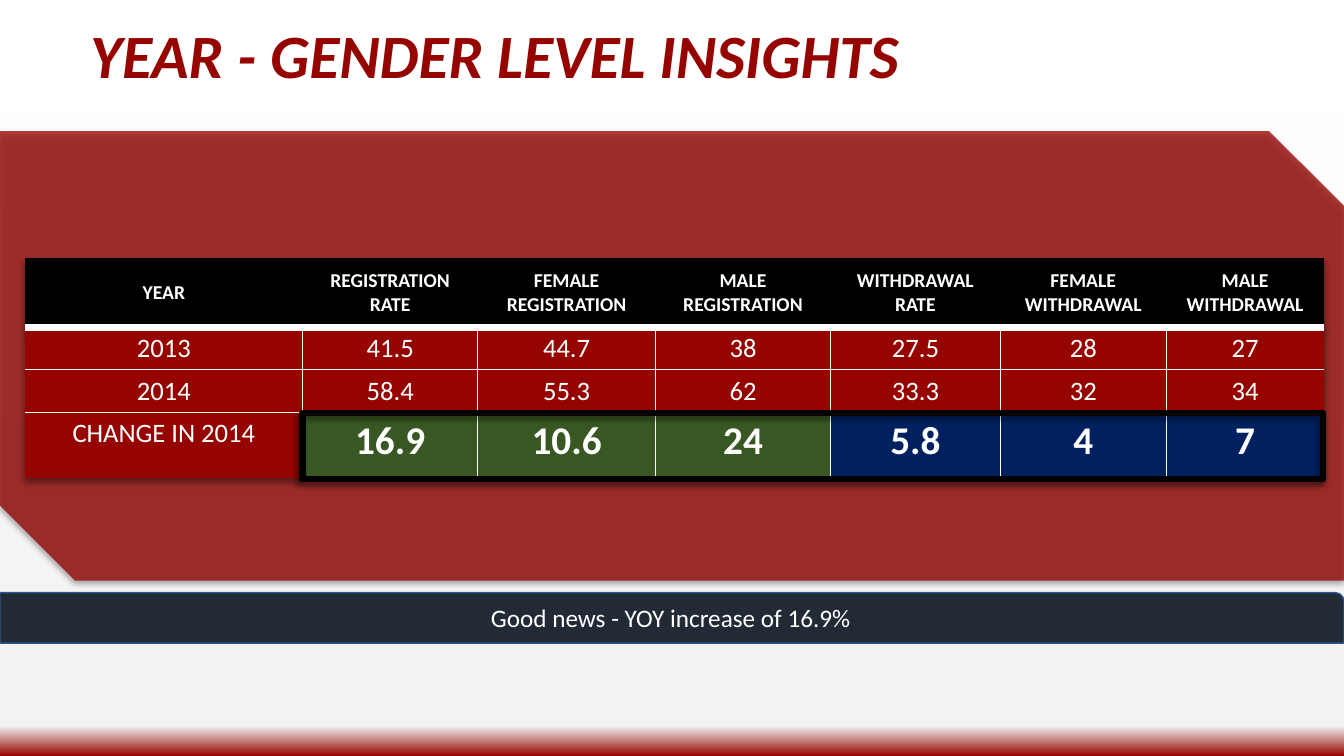
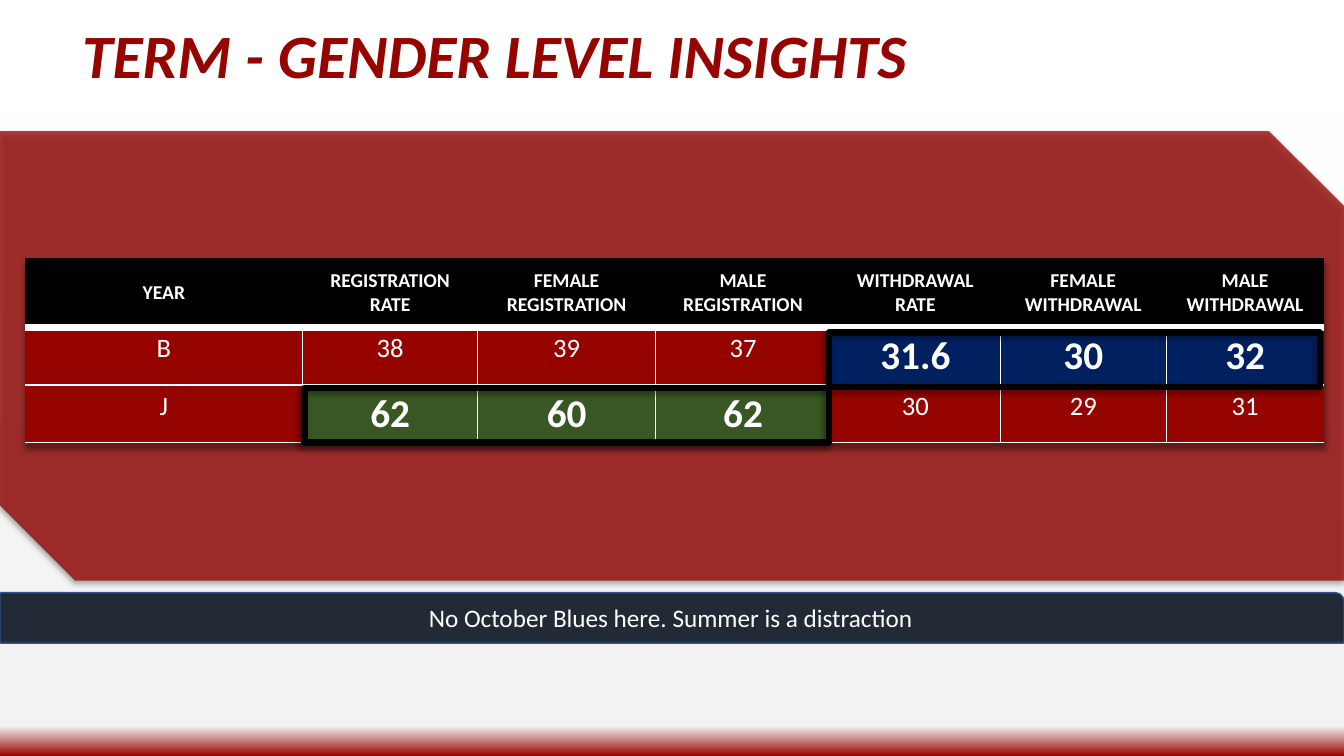
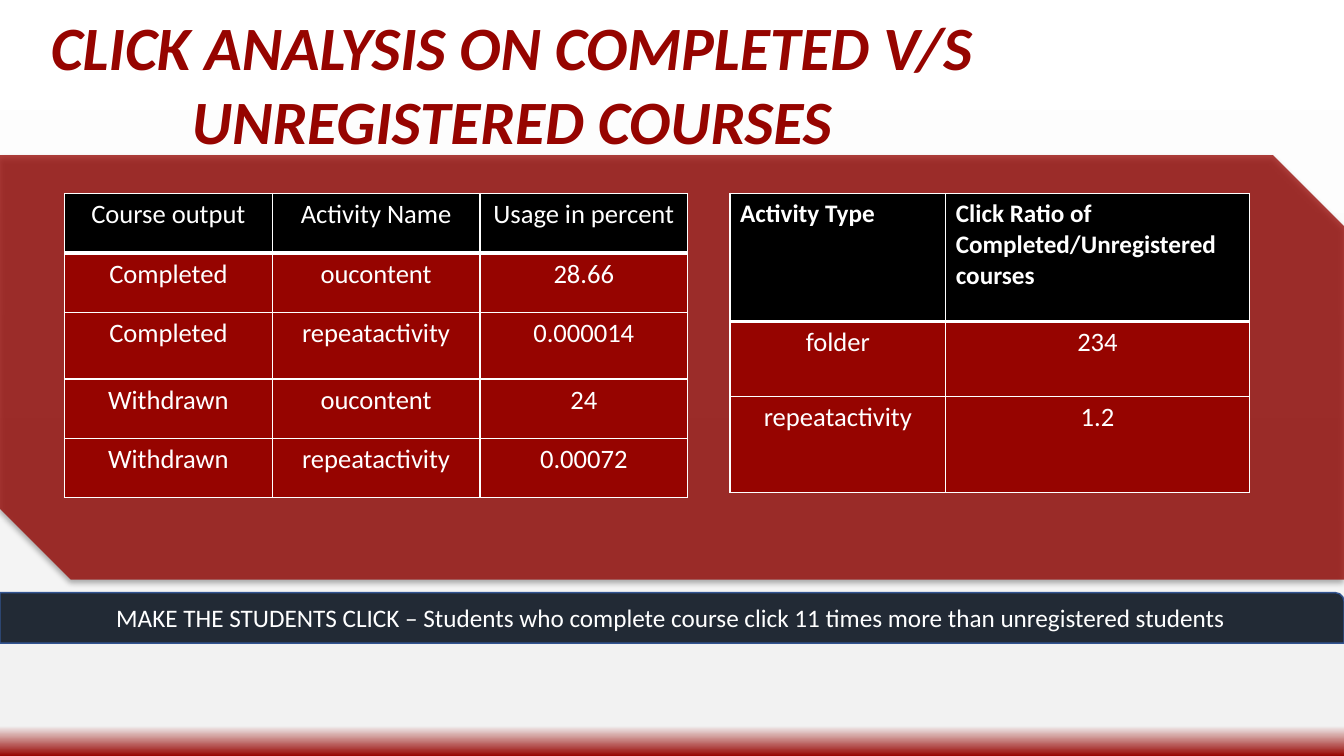
import pptx
import pptx.util
import pptx.dml.color
import pptx.enum.shapes
import pptx.enum.text
import pptx.oxml
import pptx.oxml.ns
from dataclasses import dataclass

Inches = pptx.util.Inches
Pt = pptx.util.Pt
RGB = pptx.dml.color.RGBColor.from_string
qn = pptx.oxml.ns.qn
SHAPE = pptx.enum.shapes.MSO_SHAPE
ALIGN = pptx.enum.text.PP_ALIGN
ANCHOR = pptx.enum.text.MSO_ANCHOR
NS = pptx.oxml.ns.nsdecls("a")


@dataclass(frozen=True)
class Theme:
    font: str = "Calibri"
    red: str = "960400"
    black: str = "000000"
    white: str = "FFFFFF"
    grey: str = "F2F2F2"
    green: str = "385723"
    navy: str = "002060"
    slate: str = "222A35"
    slate_edge: str = "325491"
    title: int = 44
    highlight: int = 28
    body: int = 19
    message: int = 18
    small_header: int = 14


theme = Theme()


def write(frame, text, size, colour=theme.white, bold=False, italic=False, align=ALIGN.CENTER):
    frame.text = text
    paragraph = frame.paragraphs[0]
    paragraph.alignment = align
    font = paragraph.font
    font.name, font.size, font.bold, font.italic = theme.font, Pt(size), bold, italic
    font.color.rgb = RGB(colour)


def cast_shadow(effects, direction):
    effects.append(pptx.oxml.parse_xml(
        f'<a:outerShdw {NS} blurRad="{Pt(4)}" dist="{Pt(3)}" dir="{direction * 60000}" rotWithShape="0">'
        f'<a:srgbClr val="{theme.black}"><a:alpha val="40000"/></a:srgbClr></a:outerShdw>'))


gender_header = ["YEAR", "REGISTRATION RATE", "FEMALE REGISTRATION", "MALE REGISTRATION",
                 "WITHDRAWAL RATE", "FEMALE WITHDRAWAL", "MALE WITHDRAWAL"]
gender_layout = dict(
    left=0.25, top=2.56, columns=[2.75, 1.74, 1.76, 1.74, 1.68, 1.65, 1.56],
    header_size=theme.small_header, header_bold=True, header_align=ALIGN.CENTER,
    header_anchor=ANCHOR.MIDDLE, header_rule=6, outlined=False, shadow=True)
click_layout = dict(
    top=1.92, header_anchor=ANCHOR.TOP, header_rule=3, outlined=True, closed=True,
    shadow=False, highlights={})

insights = [
    dict(
        title="YEAR - GENDER LEVEL INSIGHTS", title_at=(0.25, 0.05, 9.32, 0.95),
        panel_at=(0, 1.3, 13.33, 4.46),
        message="Good news - YOY increase of 16.9%",
        tables=[dict(
            gender_layout, closed=False, heights=[0.69, 0.42, 0.42, 0.65],
            rows=[gender_header,
                  ["2013", "41.5", "44.7", "38", "27.5", "28", "27"],
                  ["2014", "58.4", "55.3", "62", "33.3", "32", "34"],
                  ["CHANGE IN 2014", "16.9", "10.6", "24", "5.8", "4", "7"]],
            highlights={(3, c): theme.green if c < 4 else theme.navy for c in range(1, 7)})],
        frames=[(3, 4.1, 10.12, 0.65)]),
    dict(
        title="TERM - GENDER LEVEL INSIGHTS", title_at=(0.25, 0.05, 9.32, 0.95),
        panel_at=(0, 1.3, 13.33, 4.46),
        message="No October Blues here. Summer is a distraction",
        tables=[dict(
            gender_layout, closed=True, heights=[0.69, 0.57, 0.57],
            rows=[gender_header,
                  ["B", "38", "39", "37", "31.6", "30", "32"],
                  ["J", "62", "60", "62", "30", "29", "31"]],
            highlights={(1 if c > 3 else 2, c): theme.navy if c > 3 else theme.green
                        for c in range(1, 7)})],
        frames=[(3.02, 3.85, 5.2, 0.54), (8.22, 3.3, 4.87, 0.54)]),
    dict(
        title="CLICK ANALYSIS ON COMPLETED V/S UNREGISTERED COURSES",
        title_at=(0.4, 0.2, 9.36, 1.46), panel_at=(0, 1.54, 13.33, 4.21),
        message="MAKE THE STUDENTS CLICK – Students who complete course click 11 times "
                "more than unregistered students",
        tables=[
            dict(click_layout, left=0.64, columns=[2.06] * 3,
                 heights=[0.59, 0.59, 0.66, 0.59, 0.59],
                 header_size=theme.body, header_bold=False, header_align=ALIGN.CENTER,
                 rows=[["Course output", "Activity Name", "Usage in percent"],
                       ["Completed", "oucontent", "28.66"],
                       ["Completed", "repeatactivity", "0.000014"],
                       ["Withdrawn", "oucontent", "24"],
                       ["Withdrawn", "repeatactivity", "0.00072"]]),
            dict(click_layout, left=7.24, columns=[2.14, 3.01], heights=[1.27, 0.74, 0.96],
                 header_size=theme.message, header_bold=True, header_align=ALIGN.LEFT,
                 rows=[["Activity Type", "Click Ratio of Completed/Unregistered courses"],
                       ["folder", "234"],
                       ["repeatactivity", "1.2"]])],
        frames=[]),
]

prs = pptx.Presentation()
prs.slide_width, prs.slide_height = Inches(13.33), Inches(7.5)

backdrop = prs.slide_master.background.fill
backdrop.gradient()
backdrop.gradient_angle = 270
stops = next(prs.slide_master.element.iter(qn("a:gsLst")))
for stop in list(stops):
    stops.remove(stop)
for position, colour in [(1, theme.white), (96, theme.grey), (100, theme.red)]:
    stops.append(pptx.oxml.parse_xml(
        f'<a:gs {NS} pos="{position * 1000}"><a:srgbClr val="{colour}"/></a:gs>'))

for insight in insights:
    slide = prs.slides.add_slide(prs.slide_layouts[6])

    panel = slide.shapes.add_shape(SHAPE.SNIP_2_DIAG_RECTANGLE, *map(Inches, insight["panel_at"]))
    panel.fill.solid()
    panel.fill.fore_color.rgb = RGB(theme.red)
    panel_colour = panel.element.spPr.find(qn("a:solidFill"))[0]
    panel_colour.append(pptx.oxml.parse_xml(f'<a:alpha {NS} val="76000"/>'))
    panel.line.fill.background()
    panel.shadow.inherit = False
    cast_shadow(panel.element.spPr.find(qn("a:effectLst")), 90)

    title = slide.shapes.add_textbox(*map(Inches, insight["title_at"])).text_frame
    title.word_wrap = True
    title.vertical_anchor = ANCHOR.BOTTOM
    title.margin_top = title.margin_bottom = Inches(0.1)
    write(title, insight["title"], theme.title, theme.red, bold=True, italic=True)

    for figures in insight["tables"]:
        rows, columns, heights = figures["rows"], figures["columns"], figures["heights"]
        outlined, header_rule = figures["outlined"], figures["header_rule"]
        grid = slide.shapes.add_table(
            len(rows), len(columns), Inches(figures["left"]), Inches(figures["top"]),
            Inches(sum(columns)), Inches(sum(heights))).table
        grid.first_row = grid.horz_banding = False
        properties = next(grid._tbl.iter(qn("a:tblPr")))
        properties.find(qn("a:tableStyleId")).text = "{2D5ABB26-0587-4C30-8999-92F81FD0307C}"
        if figures["shadow"]:
            effects = pptx.oxml.parse_xml(f"<a:effectLst {NS}/>")
            properties.insert(0, effects)
            cast_shadow(effects, 90)
        for column, width in zip(grid.columns, columns):
            column.width = Inches(width)
        for row, height in zip(grid.rows, heights):
            row.height = Inches(height)

        last_row, last_column = len(rows) - 1, len(columns) - 1
        for r, values in enumerate(rows):
            for c, value in enumerate(values):
                cell = grid.cell(r, c)
                highlight = figures["highlights"].get((r, c))
                cell.fill.solid()
                cell.fill.fore_color.rgb = RGB(highlight or (theme.red if r else theme.black))
                if r == 0:
                    cell.vertical_anchor = figures["header_anchor"]
                    write(cell.text_frame, value, figures["header_size"],
                          bold=figures["header_bold"], align=figures["header_align"])
                else:
                    write(cell.text_frame, value, theme.highlight if highlight else theme.body,
                          bold=bool(highlight))

                inner = outlined or r > 0
                rules = dict(
                    lnL=int(outlined or (inner and c > 0)),
                    lnR=int(outlined or (inner and c < last_column)),
                    lnT=header_rule if r == 1 else int(inner),
                    lnB=header_rule if r == 0 else int(r < last_row or figures["closed"]))
                drawn = [(side, width) for side, width in rules.items() if width]
                for position, (side, width) in enumerate(drawn):
                    cell._tc.tcPr.insert(position, pptx.oxml.parse_xml(
                        f'<a:{side} {NS} w="{Pt(width)}"><a:solidFill>'
                        f'<a:srgbClr val="{theme.white}"/></a:solidFill></a:{side}>'))

    for place in insight["frames"]:
        frame = slide.shapes.add_shape(SHAPE.RECTANGLE, *map(Inches, place))
        frame.fill.background()
        frame.line.color.rgb = RGB(theme.black)
        frame.line.width = Pt(4.5)
        frame.shadow.inherit = False
        cast_shadow(frame.element.spPr.find(qn("a:effectLst")), 135)

    message = slide.shapes.add_shape(
        SHAPE.ROUND_1_RECTANGLE, Inches(0), Inches(5.88), Inches(13.33), Inches(0.5))
    message.fill.solid()
    message.fill.fore_color.rgb = RGB(theme.slate)
    message.line.color.rgb = RGB(theme.slate_edge)
    message.line.width = Pt(1)
    message.shadow.inherit = False
    message.text_frame.vertical_anchor = ANCHOR.MIDDLE
    write(message.text_frame, insight["message"], theme.message)

prs.save("out.pptx")
